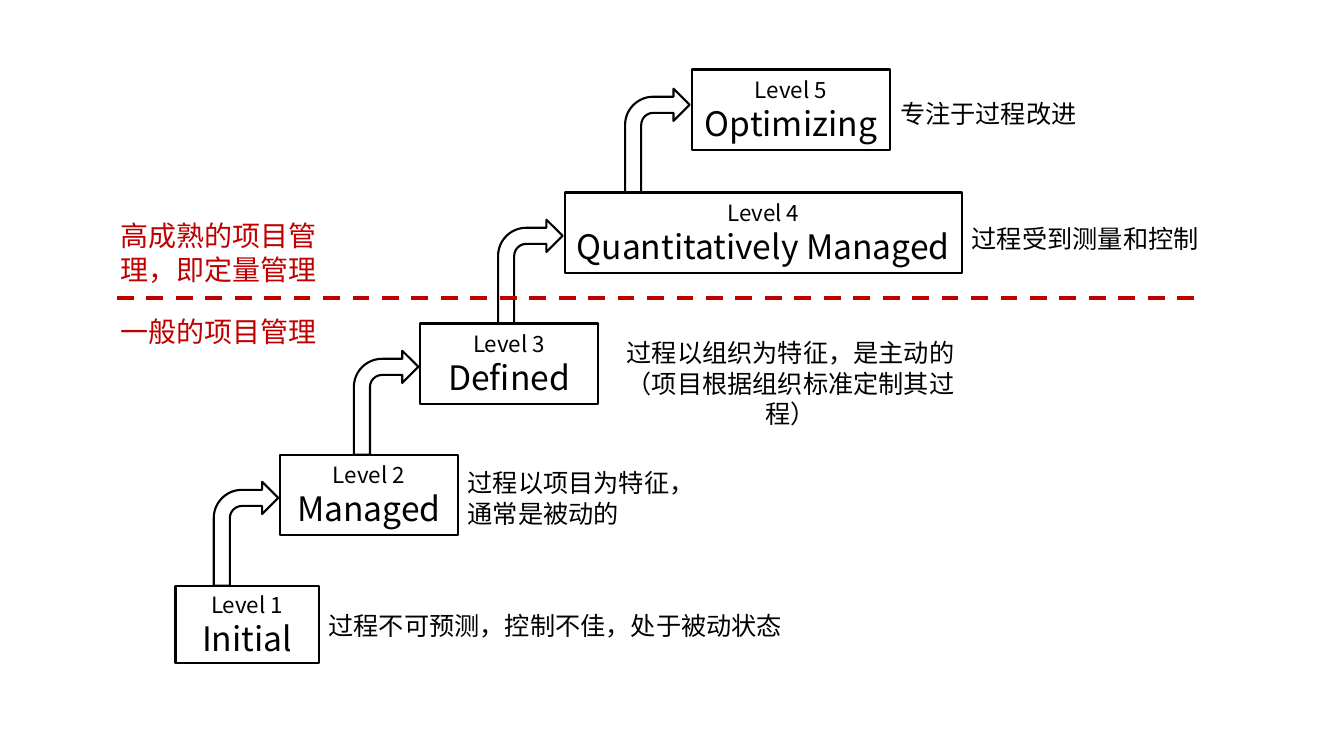
from pptx import Presentation
from pptx.dml.color import RGBColor
from pptx.enum.dml import MSO_LINE
from pptx.enum.shapes import MSO_CONNECTOR, MSO_SHAPE
from pptx.enum.text import MSO_ANCHOR, PP_ALIGN
from pptx.oxml.ns import qn
from pptx.util import Inches, Pt
from lxml import etree

RECTANGLE, BENT_ARROW = MSO_SHAPE.RECTANGLE, MSO_SHAPE.BENT_ARROW
STRAIGHT, DASH = MSO_CONNECTOR.STRAIGHT, MSO_LINE.DASH
LEFT, CENTER = PP_ALIGN.LEFT, PP_ALIGN.CENTER
TOP, MIDDLE = MSO_ANCHOR.TOP, MSO_ANCHOR.MIDDLE

COLORS = {"ink": "000000", "accent": "C00000", "paper": "FFFFFF"}
FONT = "Noto Sans CJK SC"
SLIDE_WIDTH, SLIDE_HEIGHT = 13.33, 7.5
FIRST_TOP, STEP_RISE = 5.81, 1.3
ARROW_WIDTH, ARROW_HEIGHT, ARROW_GAP = 0.64, 1.03, 0.02

# name, left, width, height, nudge from the regular step
LEVELS = [
    ("Initial", 1.74, 1.42, 0.77, 0),
    ("Managed", 2.78, 1.76, 0.8, 0),
    ("Defined", 4.17, 1.76, 0.8, 0),
    ("Quantitatively Managed", 5.6, 3.94, 0.8, 0),
    ("Optimizing", 6.86, 1.97, 0.8, 0.08),
]
# lines, offset below the top of the level box, width, alignment
CAPTIONS = [
    (["过程不可预测，控制不佳，处于被动状态"], 0.2, 4.77, LEFT),
    (["过程以项目为特征，", "通常是被动的"], 0.08, 2.38, LEFT),
    (["过程以组织为特征，是主动的", "（项目根据组织标准定制其过程）"], 0.09, 3.82, CENTER),
    (["过程受到测量和控制"], 0.26, 2.54, LEFT),
    (["专注于过程改进"], 0.24, 2.54, LEFT),
]


def rgb(name):
    return RGBColor.from_string(COLORS[name])


def write(text_frame, lines, sizes, color="ink", alignment=CENTER):
    text_frame.word_wrap = True
    text_frame.text = "\n".join(lines)
    for paragraph, size in zip(text_frame.paragraphs, sizes):
        paragraph.alignment = alignment
        paragraph.line_spacing = Pt(size * 1.2)
        for run in paragraph.runs:
            run.font.size = Pt(size)
            run.font.name = FONT
            run.font.color.rgb = rgb(color)
            properties = run.font._element
            east_asian = etree.SubElement(properties, qn("a:ea"))
            east_asian.set("typeface", FONT)


def add_text(slide, box, lines, size, color="ink", alignment=CENTER):
    text_box = slide.shapes.add_textbox(*map(Inches, box))
    text_box.text_frame.vertical_anchor = TOP
    write(text_box.text_frame, lines, [size] * len(lines), color, alignment)


def add_outline(slide, kind, box):
    shape = slide.shapes.add_shape(kind, *map(Inches, box))
    shape.shadow.inherit = False
    shape.fill.background()
    shape.line.color.rgb = rgb("ink")
    shape.line.width = Pt(1.5)
    return shape


def add_level(slide, box, number, name):
    text_frame = add_outline(slide, RECTANGLE, box).text_frame
    text_frame.margin_left = text_frame.margin_right = 0
    text_frame.margin_top = text_frame.margin_bottom = 0
    text_frame.vertical_anchor = MIDDLE
    write(text_frame, [f"Level {number}", name], [16, 24])


def add_staircase(slide):
    """Draw the levels with their captions and the arrows leading up to them."""
    previous_top = None
    for index, (name, left, width, height, nudge) in enumerate(LEVELS):
        top = FIRST_TOP - index * STEP_RISE + nudge
        add_level(slide, (left, top, width, height), index + 1, name)
        if previous_top is not None:
            add_outline(slide, BENT_ARROW, (
                left - ARROW_GAP - ARROW_WIDTH, previous_top - ARROW_HEIGHT,
                ARROW_WIDTH, ARROW_HEIGHT))
        lines, offset, caption_width, alignment = CAPTIONS[index]
        caption_box = (left + width, top + offset, caption_width, 0.1 + 0.3 * len(lines))
        add_text(slide, caption_box, lines, 18, alignment=alignment)
        previous_top = top


def add_divider(slide, left, right, y):
    """Draw the dashed boundary with a label above and one below it."""
    line = slide.shapes.add_connector(
        STRAIGHT, Inches(left), Inches(y), Inches(right), Inches(y))
    line.line.color.rgb = rgb("accent")
    line.line.width = Pt(3)
    line.line.dash_style = DASH
    etree.SubElement(line._element.spPr, qn("a:effectLst"))
    label_left, label_width = left - 0.9, 3.82
    add_text(slide, (label_left, y + 0.11, label_width, 0.44),
             ["一般的项目管理"], 20, "accent")
    add_text(slide, (label_left, y - 0.84, label_width, 0.77),
             ["高成熟的项目管", "理，即定量管理"], 20, "accent")


def main():
    presentation = Presentation()
    presentation.slide_width = Inches(SLIDE_WIDTH)
    presentation.slide_height = Inches(SLIDE_HEIGHT)
    slide = presentation.slides.add_slide(presentation.slide_layouts[6])
    slide.background.fill.solid()
    slide.background.fill.fore_color.rgb = rgb("paper")
    add_staircase(slide)
    add_divider(slide, 1.16, 11.91, 2.96)
    presentation.save("out.pptx")


if __name__ == "__main__":
    main()
